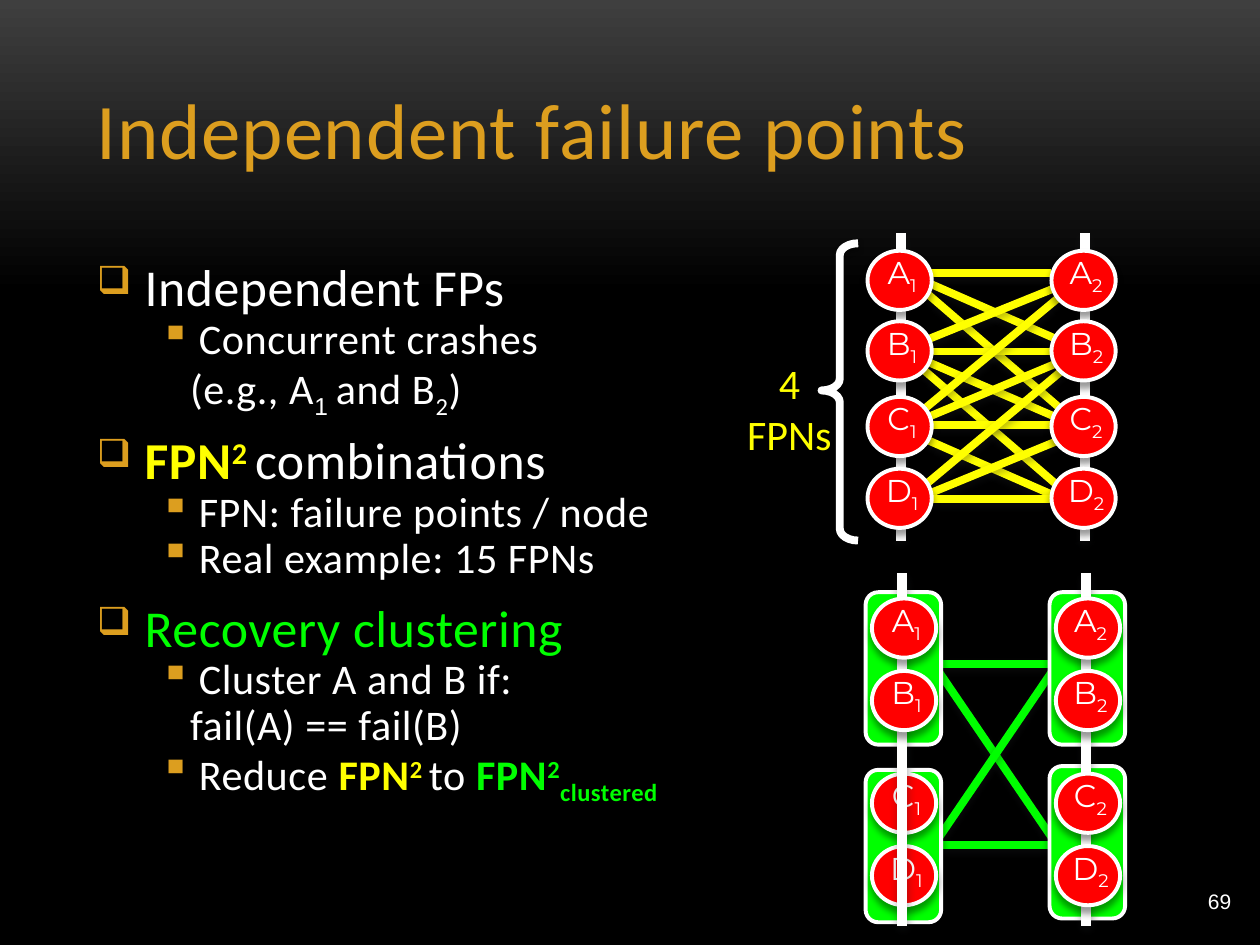
from itertools import product

from lxml import etree
from pptx import Presentation
from pptx import util as u
from pptx.dml.color import RGBColor
from pptx.enum import shapes, text
from pptx.oxml.ns import qn

COLORS = {"white": "FFFFFF", "gold": "DC9E1F", "yellow": "FFFF00", "green": "00FF00",
          "red": "FF0000", "black": "000000", "gray": "3F3F3F", "shade": "1F2123"}
COLUMNS, ROWS = 100, 75
CELL = u.Inches(0.1)
SUB, SUPER = -25, 30
NODE_W, NODE_H = 5.1, 4.7
CLUSTER_W, CLUSTER_H = 6, 12.1


def cells(*counts):
    return [round(count * CELL) for count in counts]


def rgb(name):
    return RGBColor.from_string(COLORS[name])


def add_shadow(shape, color, alpha, blur, distance):
    props = shape._element.spPr
    effects = props.find(qn("a:effectLst"))
    if effects is None:
        effects = etree.SubElement(props, qn("a:effectLst"))
    outer = etree.SubElement(effects, qn("a:outerShdw"), blurRad=str(u.Pt(blur)),
                             dist=str(u.Pt(distance)), dir="5400000", rotWithShape="0")
    tint = etree.SubElement(outer, qn("a:srgbClr"), val=COLORS[color])
    etree.SubElement(tint, qn("a:alpha"), val=str(alpha * 1000))


def add_line(slide, x1, y1, x2, y2, color, width):
    line = slide.shapes.add_connector(shapes.MSO_CONNECTOR.STRAIGHT, *cells(x1, y1, x2, y2))
    line.line.color.rgb = rgb(color)
    line.line.width = u.Pt(width)
    add_shadow(line, "shade", 35, 5, 2)


def add_solid(slide, kind, box, fill, width=2.25, shadow=(40, 4, 3.4)):
    solid = slide.shapes.add_shape(kind, *cells(*box))
    solid.shadow.inherit = False
    if fill:
        solid.fill.solid()
        solid.fill.fore_color.rgb = rgb(fill)
    else:
        solid.fill.background()
    solid.line.color.rgb = rgb("white")
    solid.line.width = u.Pt(width)
    add_shadow(solid, "black", *shadow)
    return solid


def add_frame(slide, box, anchor=text.MSO_ANCHOR.TOP, wrap=True):
    frame = slide.shapes.add_textbox(*cells(*box)).text_frame
    frame.word_wrap = wrap
    frame.vertical_anchor = anchor
    return frame


def add_run(paragraph, words, size, color, font="Calibri", bold=False, base=0, spacing=0):
    run = paragraph.add_run()
    run.text = words
    run.font.size, run.font.name, run.font.bold = u.Pt(size), font, bold
    run.font.color.rgb = rgb(color)
    props = run._r.get_or_add_rPr()
    if base:
        props.set("baseline", str(base * 1000))
    if spacing:
        props.set("spc", str(spacing))


def add_bullet(paragraph, char, left, hang, percent):
    props = paragraph._p.get_or_add_pPr()
    props.set("marL", str(u.Inches(left)))
    props.set("indent", str(-u.Inches(hang)))
    if not char:
        etree.SubElement(props, qn("a:buNone"))
        return
    tint = etree.SubElement(props, qn("a:buClr"))
    etree.SubElement(tint, qn("a:srgbClr"), val=COLORS["gold"])
    etree.SubElement(props, qn("a:buSzPct"), val=str(percent * 1000))
    etree.SubElement(props, qn("a:buChar"), char=char)


# Level: bullet, left indent, hanging indent, bullet percent, text size, space before
LEVELS = {"topic": ("❑", 0.38, 0.38, 75, 29.6, 15),
          "point": ("▪", 0.81, 0.31, 100, 24.1, 3),
          "more": (None, 0.74, 0, 100, 24.1, 3)}

# Runs: words, colour, bold, baseline shift
OUTLINE = [
    ("topic", [("Independent FPs", "white", False, 0)]),
    ("point", [("Concurrent crashes", "white", False, 0)]),
    ("more", [("(e.g., A", "white", False, 0), ("1 ", "white", False, SUB),
              ("and B", "white", False, 0), ("2", "white", False, SUB),
              (")", "white", False, 0)]),
    ("topic", [("FPN", "yellow", True, 0), ("2 ", "yellow", True, SUPER),
               ("combinations", "white", False, 0)]),
    ("point", [("FPN: failure points / node", "white", False, 0)]),
    ("point", [("Real example: 15 FPNs", "white", False, 0)]),
    ("topic", [("Recovery clustering", "green", False, 0)]),
    ("point", [("Cluster A and B if:", "white", False, 0)]),
    ("more", [("fail(A) == fail(B)", "white", False, 0)]),
    ("point", [("Reduce ", "white", False, 0), ("FPN", "yellow", True, 0),
               ("2 ", "yellow", True, SUPER), ("to ", "white", False, 0),
               ("FPN", "green", True, 0), ("2", "green", True, SUPER),
               ("clustered", "green", True, SUB)]),
]


def add_outline(slide, box):
    frame = add_frame(slide, box)
    for row, (level, runs) in enumerate(OUTLINE):
        paragraph = frame.paragraphs[0] if row == 0 else frame.add_paragraph()
        char, left, hang, percent, size, before = LEVELS[level]
        add_bullet(paragraph, char, left, hang, percent)
        paragraph.line_spacing = 0.8
        if row:
            paragraph.space_before = u.Pt(before)
        for words, color, bold, base in runs:
            font = "Arial" if words == "1 " else "Calibri"
            add_run(paragraph, words, size, color, font, bold, base, spacing=30)


def add_node(slide, x, y, letter, index):
    add_solid(slide, shapes.MSO_SHAPE.OVAL, (x, y, NODE_W, NODE_H), "red")
    frame = add_frame(slide, (x + 0.25, y + 0.4, 5, 3), text.MSO_ANCHOR.MIDDLE, wrap=False)
    frame.margin_top = frame.margin_bottom = 0
    label = frame.paragraphs[0]
    label.alignment = text.PP_ALIGN.CENTER
    add_run(label, letter, 18, "white", "Montserrat")
    add_run(label, str(index), 18, "white", "Montserrat", base=SUB)


def add_full_mesh(slide, box):
    x, y, width, height = box
    axes = x + 2.6, x + width - 2.4
    for axis in axes:
        add_line(slide, axis, y, axis, y + height, "white", 6)
    # Links between failure points at most two steps apart
    flat, left_ends, right_ends = ((3.2, 9.4, 15.2, 21.1), (3, 9.3, 15.5, 21.6),
                                   (3.4, 9.4, 15.6, 21.9))
    for i, j in product(range(4), repeat=2):
        if i == j:
            add_line(slide, axes[0] + 2.1, y + flat[i], axes[1] - 2.7, y + flat[i], "yellow", 4.5)
        elif abs(i - j) <= 2:
            add_line(slide, axes[0], y + left_ends[i], axes[1], y + right_ends[j], "yellow", 4.5)
    for side, axis in enumerate(axes, 1):
        for letter, top in zip("ABCD", (1.4, 7, 13, 18.7)):
            add_node(slide, axis - 2.65, y + top, letter, side)


def add_brace(slide, brace_box, label_box):
    brace = add_solid(slide, shapes.MSO_SHAPE.RIGHT_BRACE, brace_box, None, 4.5, (40, 3, 2))
    brace.rotation = 180
    brace.adjustments[0], brace.adjustments[1] = 0.323, 0.505
    frame = add_frame(slide, label_box)
    frame.margin_bottom = 0
    frame.text = "4\nFPNs"
    for paragraph in frame.paragraphs:
        paragraph.alignment = text.PP_ALIGN.CENTER
        font = paragraph.runs[0].font
        font.size, font.name, font.color.rgb = u.Pt(24), "Calibri", rgb("yellow")


def add_clusters(slide, box):
    x, y, width, height = box
    left, right = x, x + width - CLUSTER_W
    upper, lower = y + 1.5, y + 15.4
    # Links between clusters
    ends = left + 5.4, right + 0.6
    levels = y + 7.2, y + 21.6
    for start, end in product(levels, repeat=2):
        add_line(slide, ends[0], start, ends[1], end, "green", 4.5)

    def add_cluster(side, top):
        add_solid(slide, shapes.MSO_SHAPE.ROUNDED_RECTANGLE,
                  (side, top, CLUSTER_W, CLUSTER_H), "green")

    def add_axis(side):
        add_line(slide, side + 2.9, y, side + 2.9, y + height, "white", 6)

    def add_pair(side, top, letters, index):
        for row, letter in enumerate(letters):
            add_node(slide, side + 0.5, top + 5.75 * row, letter, index)

    # Right node, then the left one, whose axis crosses its lower pair
    add_cluster(right, upper)
    add_cluster(right, lower - 0.1)
    add_axis(right)
    add_pair(right, y + 2, "AB", 2)
    add_pair(right, y + 15.9, "CD", 2)
    add_cluster(left, lower + 0.2)
    add_pair(left, y + 15.9, "CD", 1)
    add_cluster(left, upper)
    add_axis(left)
    add_pair(left, y + 2, "AB", 1)


def main():
    deck = Presentation()
    deck.slide_width, deck.slide_height = cells(COLUMNS, ROWS)
    slide = deck.slides.add_slide(deck.slide_layouts[6])
    # Background
    backdrop = slide.background.fill
    backdrop.gradient()
    backdrop.gradient_angle = 270
    for stop, color, position in zip(backdrop.gradient_stops, ("gray", "black"), (0, 0.31)):
        stop.color.rgb, stop.position = rgb(color), position
    # Title and page number
    title = add_frame(slide, (6.7, 1.9, 86.7, 12.5), text.MSO_ANCHOR.BOTTOM).paragraphs[0]
    add_run(title, "Independent failure points", 45, "gold", spacing=50)
    page = add_frame(slide, (87.9, 69.5, 10.8, 4), text.MSO_ANCHOR.MIDDLE).paragraphs[0]
    page.alignment = text.PP_ALIGN.RIGHT
    add_run(page, "69", 12, "white", "Arial")
    # Outline and diagrams
    add_outline(slide, (6.7, 20.7, 60.1, 46.5))
    add_full_mesh(slide, (68.9, 18.5, 19.6, 24.4))
    add_brace(slide, (65.2, 19.3, 2.9, 23.6), (55.9, 27.9, 13.5, 8.6))
    add_clusters(slide, (68.7, 45.5, 20.6, 28))
    deck.save("out.pptx")


if __name__ == "__main__":
    main()
